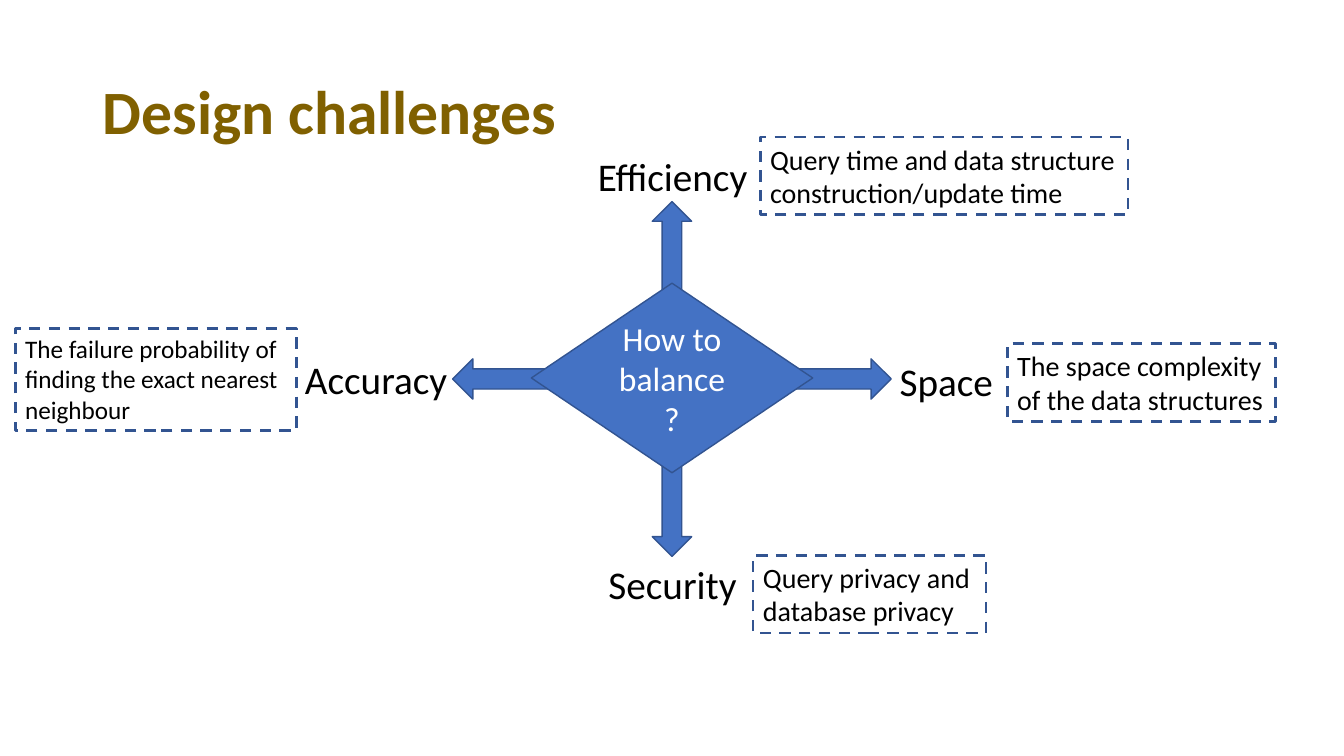
from dataclasses import dataclass

from pptx import Presentation
from pptx.dml.color import RGBColor
from pptx.enum.dml import MSO_LINE
from pptx.enum.shapes import MSO_SHAPE
from pptx.enum.text import MSO_ANCHOR, PP_ALIGN
from pptx.util import Inches, Pt

RECT, DIAMOND = MSO_SHAPE.RECTANGLE, MSO_SHAPE.DIAMOND
ACROSS, UPDOWN = MSO_SHAPE.LEFT_RIGHT_ARROW, MSO_SHAPE.UP_DOWN_ARROW
DASH = MSO_LINE.DASH
TOP, MIDDLE = MSO_ANCHOR.TOP, MSO_ANCHOR.MIDDLE
LEFT, CENTER = PP_ALIGN.LEFT, PP_ALIGN.CENTER


@dataclass(frozen=True)
class Theme:
    font: str = "Calibri"
    title: str = "806000"
    text: str = "000000"
    light: str = "FFFFFF"
    fill: str = "4472C4"
    edge: str = "325491"
    title_size: int = 44
    label_size: int = 28
    hub_size: int = 24
    note_size: int = 20
    small_size: int = 18


T = Theme()

# Content: places are centre x, centre y, width, height in percent of the slide
TITLE = ("Design challenges", (50.04, 15.13, 86.27, 19.33))
HUB = ("How to balance?", (50, 50, 20.93, 25.07))
ARROWS = [
    (ACROSS, (50, 50.13, 32.63, 5.33)),
    (UPDOWN, (50, 50.13, 2.93, 46.93)),
]
LABELS = [
    ("Efficiency", (50.04, 23.27, 12.9, 7.6)),
    ("Space", (70.41, 50.47, 8.63, 7.6)),
    ("Accuracy", (27.98, 50.2, 12.75, 7.6)),
    ("Security", (50.04, 77.27, 11.4, 7.6)),
]
NOTES = [
    ("The space complexity of the data structures",
     (84.92, 50.6, 19.95, 10.27), T.note_size),
    ("Query privacy and database privacy",
     (64.7, 78.6, 17.33, 10.27), T.note_size),
    ("Query time and data structure construction/update time",
     (70.25, 23.27, 27.38, 10.27), T.note_size),
    ("The failure probability of finding the exact nearest neighbour",
     (11.59, 50.2, 20.93, 13.47), T.small_size),
]

prs = Presentation()
prs.slide_width, prs.slide_height = Inches(13.33), Inches(7.5)
s = prs.slides.add_slide(prs.slide_layouts[6])


def place(spot):
    """Turn a centred percent box into left, top, width, height."""
    cx, cy, w, h = spot
    x_unit, y_unit = prs.slide_width / 100, prs.slide_height / 100
    return (round((cx - w / 2) * x_unit), round((cy - h / 2) * y_unit),
            round(w * x_unit), round(h * y_unit))


def write(sp, text, size, color, align=LEFT, anchor=TOP, wrap=True, bold=False):
    tf = sp.text_frame
    tf.word_wrap, tf.vertical_anchor = wrap, anchor
    p = tf.paragraphs[0]
    p.alignment = align
    r = p.add_run()
    r.text = text
    r.font.name, r.font.size, r.font.bold = T.font, Pt(size), bold
    r.font.color.rgb = RGBColor.from_string(color)
    return p


def add_shape(kind, spot, filled=True):
    sp = s.shapes.add_shape(kind, *place(spot))
    sp.shadow.inherit = False
    sp.line.color.rgb = RGBColor.from_string(T.edge)
    if filled:
        sp.fill.solid()
        sp.fill.fore_color.rgb = RGBColor.from_string(T.fill)
        sp.line.width = Pt(1)
    else:
        sp.fill.background()
        sp.line.width = Pt(2)
        sp.line.dash_style = DASH
    return sp


# Title
text, spot = TITLE
p = write(s.shapes.add_textbox(*place(spot)), text, T.title_size, T.title,
          anchor=MIDDLE, bold=True)
p.line_spacing = 0.9

# Labels of the four goals
for text, spot in LABELS:
    write(s.shapes.add_textbox(*place(spot)), text, T.label_size, T.text,
          align=CENTER, wrap=False)

# Arrows
for kind, spot in ARROWS:
    add_shape(kind, spot)

# Dashed notes
for text, spot, size in NOTES:
    write(add_shape(RECT, spot, filled=False), text, size, T.text)

# Central question
text, spot = HUB
write(add_shape(DIAMOND, spot), text, T.hub_size, T.light,
      align=CENTER, anchor=MIDDLE)

prs.save("out.pptx")
